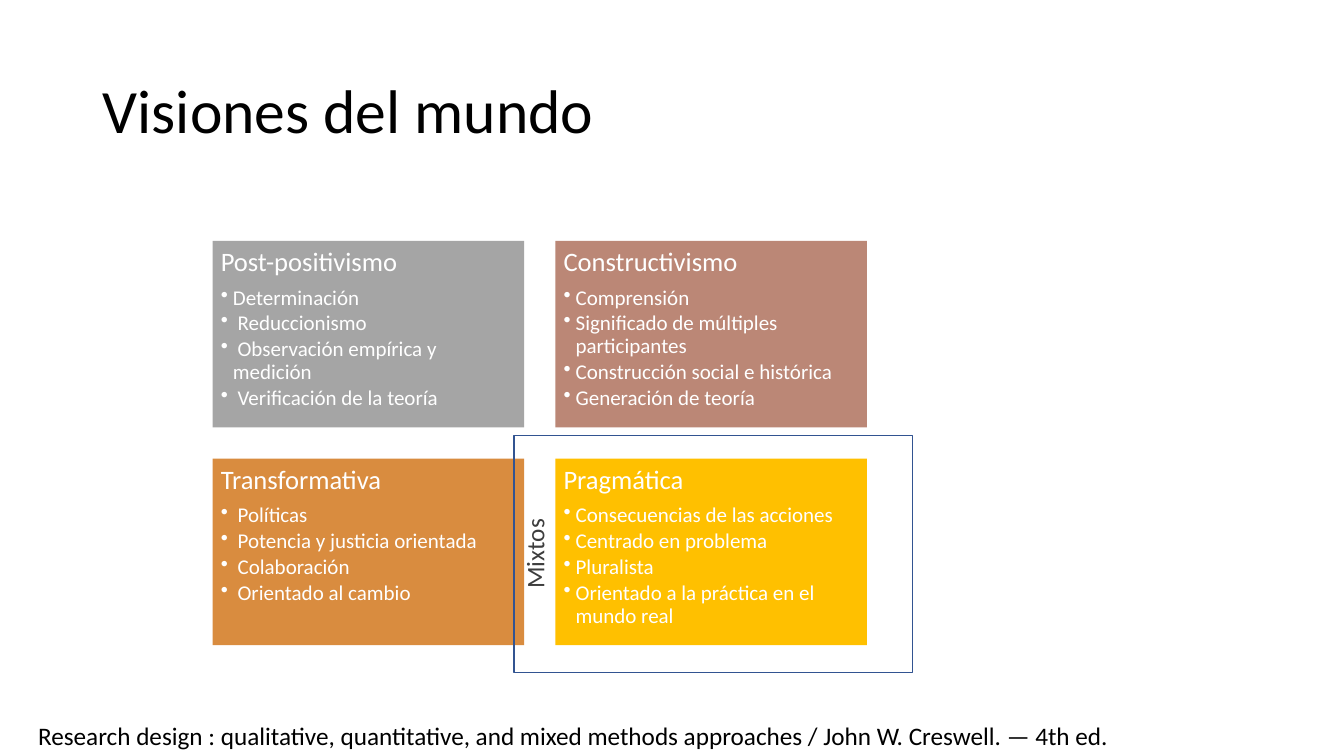
from dataclasses import dataclass

from lxml.etree import SubElement
from pptx import Presentation
from pptx.dml.color import RGBColor
from pptx.enum.shapes import MSO_SHAPE
from pptx.enum.text import MSO_ANCHOR, MSO_AUTO_SIZE, PP_ALIGN
from pptx.oxml.ns import qn
from pptx.util import Inches, Pt

SLIDE_WIDTH, SLIDE_HEIGHT = Inches(13.33), Inches(7.5)


@dataclass(frozen=True)
class Theme:
    font: str = "Calibri"
    black: str = "000000"
    white: str = "FFFFFF"
    frame_line: str = "325491"
    frame_text: str = "3D3D3D"
    title_size: int = 44
    heading_size: int = 19
    bullet_size: int = 15
    note_size: int = 18
    line_spacing: float = 0.9


THEME = Theme()

CARD_LEFT, CARD_TOP = 15.83, 31.87
CARD_WIDTH, CARD_HEIGHT = 23.18, 24.67
COLUMN_STEP, ROW_STEP = 25.5, 28.8

WORLDVIEWS = [
    ("Post-positivismo", "A5A5A5", [
        "Determinación", " Reduccionismo",
        " Observación empírica y medición", " Verificación de la teoría"]),
    ("Constructivismo", "BB8776", [
        "Comprensión", "Significado de múltiples participantes",
        "Construcción social e histórica", "Generación de teoría"]),
    ("Transformativa", "D98C3F", [
        " Políticas", " Potencia y justicia orientada",
        " Colaboración", " Orientado al cambio"]),
    ("Pragmática", "FFC000", [
        "Consecuencias de las acciones", "Centrado en problema",
        "Pluralista", "Orientado a la práctica en el mundo real"]),
]


def set_attributes(target, values):
    for name, value in values.items():
        setattr(target, name, value)


def percent_box(left, top, width, height):
    return (round(SLIDE_WIDTH * left / 100), round(SLIDE_HEIGHT * top / 100),
            round(SLIDE_WIDTH * width / 100), round(SLIDE_HEIGHT * height / 100))


def write_paragraph(paragraph, text, size, color, **layout):
    run = paragraph.add_run()
    run.text = text
    set_attributes(run.font, {"name": THEME.font, "size": Pt(size)})
    run.font.color.rgb = RGBColor.from_string(color)
    set_attributes(paragraph, {"alignment": PP_ALIGN.LEFT, **layout})


def add_bullet(paragraph):
    properties = paragraph._p.get_or_add_pPr()
    properties.set("marL", str(Inches(0.12)))
    properties.set("indent", str(-Inches(0.12)))
    SubElement(properties, qn("a:buChar")).set("char", "•")


def add_rectangle(slide, box):
    shape = slide.shapes.add_shape(MSO_SHAPE.RECTANGLE, *percent_box(*box))
    shape.shadow.inherit = False
    set_attributes(shape.text_frame, {
        "word_wrap": True, "vertical_anchor": MSO_ANCHOR.TOP})
    return shape


def add_title(slide, text, box):
    title = slide.shapes.title
    set_attributes(title, dict(zip(("left", "top", "width", "height"), percent_box(*box))))
    set_attributes(title.text_frame, {
        "vertical_anchor": MSO_ANCHOR.MIDDLE, "auto_size": MSO_AUTO_SIZE.NONE})
    write_paragraph(title.text_frame.paragraphs[0], text, THEME.title_size,
                    THEME.black, line_spacing=THEME.line_spacing)


def add_card(slide, column, row, heading, color, bullets):
    card = add_rectangle(slide, (CARD_LEFT + column * COLUMN_STEP,
                                 CARD_TOP + row * ROW_STEP, CARD_WIDTH, CARD_HEIGHT))
    card.fill.solid()
    card.fill.fore_color.rgb = RGBColor.from_string(color)
    card.line.fill.background()
    frame = card.text_frame
    set_attributes(frame, {f"margin_{side}": Inches(0.08)
                           for side in ("left", "top", "right", "bottom")})
    write_paragraph(frame.paragraphs[0], heading, THEME.heading_size, THEME.white,
                    line_spacing=THEME.line_spacing,
                    space_after=Pt(0.35 * THEME.heading_size))
    for bullet in bullets:
        paragraph = frame.add_paragraph()
        write_paragraph(paragraph, bullet, THEME.bullet_size, THEME.white, level=1,
                        line_spacing=THEME.line_spacing,
                        space_after=Pt(0.15 * THEME.bullet_size))
        add_bullet(paragraph)


def add_frame(slide, label, box):
    outline = add_rectangle(slide, box)
    outline.fill.background()
    outline.line.color.rgb = RGBColor.from_string(THEME.frame_line)
    outline.line.width = Pt(1)
    outline.text_frame._txBody.bodyPr.set("vert", "vert270")
    write_paragraph(outline.text_frame.paragraphs[0], label, THEME.note_size,
                    THEME.frame_text, alignment=PP_ALIGN.CENTER)


def add_reference(slide, text, box):
    reference = slide.shapes.add_textbox(*percent_box(*box))
    reference.text_frame.word_wrap = True
    write_paragraph(reference.text_frame.paragraphs[0], text,
                    THEME.note_size, THEME.black)


def main():
    presentation = Presentation()
    set_attributes(presentation, {
        "slide_width": SLIDE_WIDTH, "slide_height": SLIDE_HEIGHT})
    slide = presentation.slides.add_slide(presentation.slide_layouts[5])
    add_title(slide, "Visiones del mundo", (6.9, 5.33, 86.27, 19.33))
    for index, worldview in enumerate(WORLDVIEWS):
        row, column = divmod(index, 2)
        add_card(slide, column, row, *worldview)
    add_frame(slide, "Mixtos", (38.26, 57.6, 29.63, 31.33))
    add_reference(slide, "Research design : qualitative, quantitative, and mixed methods "
                  "approaches / John W. Creswell. — 4th ed.", (2.1, 94.67, 95.87, 5.33))
    presentation.save("out.pptx")


if __name__ == "__main__":
    main()
